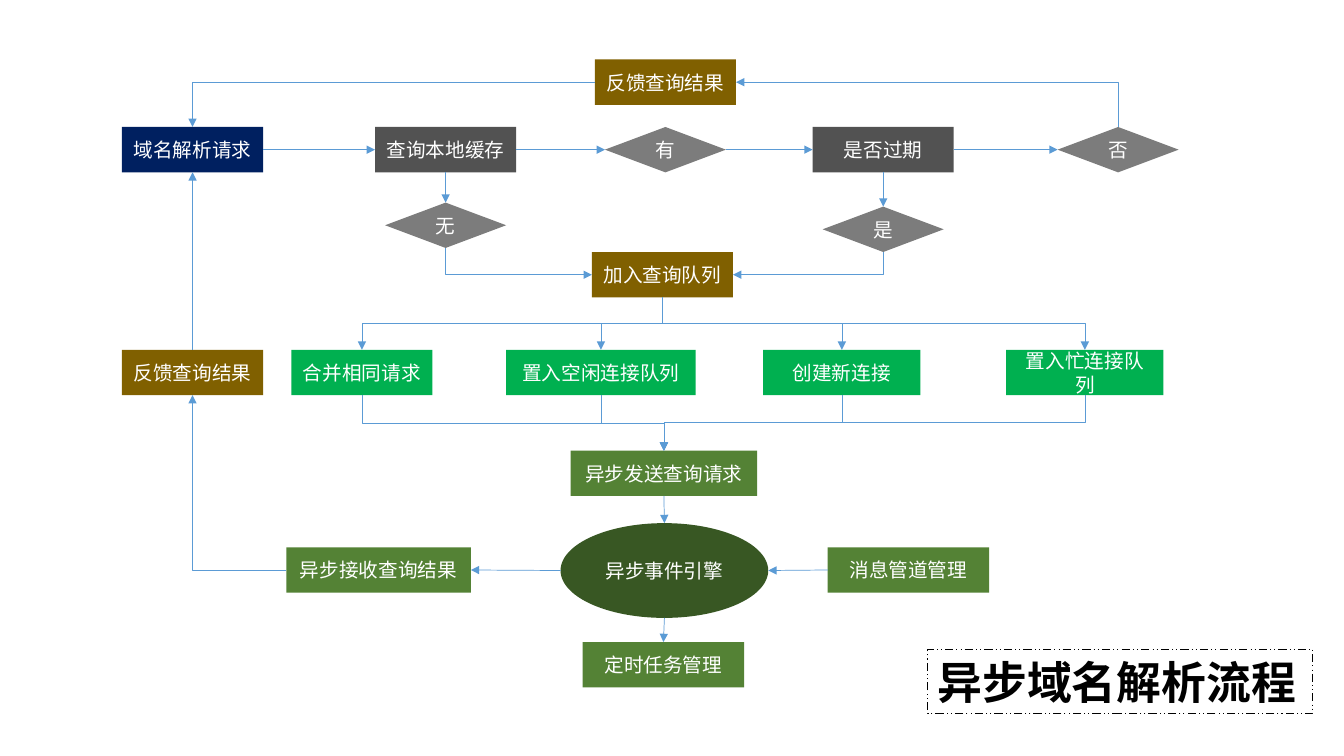
from dataclasses import dataclass

import lxml.etree
import pptx
import pptx.dml.color
import pptx.enum.dml
import pptx.enum.shapes
import pptx.enum.text
import pptx.oxml.ns
import pptx.util

PX = 9144  # 100 px to the inch
BOX_HEIGHT = 45
BOX_WIDTH = 140
DIAMOND_WIDTH = 120

SHAPE = pptx.enum.shapes.MSO_SHAPE
CONNECTOR = pptx.enum.shapes.MSO_CONNECTOR
qn = pptx.oxml.ns.qn


@dataclass(frozen=True)
class Theme:
    request: str = "002060"
    check: str = "525252"
    decision: str = "7C7C7C"
    result: str = "806000"
    queue: str = "00B050"
    task: str = "548235"
    engine: str = "385723"
    arrow: str = "5B9BD5"
    light: str = "FFFFFF"
    dark: str = "000000"
    font: str = "Calibri"
    title_font: str = "Noto Sans CJK JP"
    text_size: int = 14
    title_size: int = 32
    arrow_width: float = 0.5
    frame_width: float = 0.75


THEME = Theme()


def rgb(color):
    return pptx.dml.color.RGBColor.from_string(color)


def format_text(paragraph, font_name, size, color, bold=False):
    for run in paragraph.runs:
        font = run.font
        font.name = font_name
        font.size = pptx.util.Pt(size)
        font.bold = bold
        font.color.rgb = rgb(color)
        east_asian = lxml.etree.SubElement(run._r.get_or_add_rPr(), qn("a:ea"))
        east_asian.set("typeface", THEME.title_font)


def add_node(slide, text, left, top, color, width=BOX_WIDTH, height=BOX_HEIGHT,
             kind=SHAPE.RECTANGLE):
    shape = slide.shapes.add_shape(kind, left * PX, top * PX, width * PX, height * PX)
    shape.shadow.inherit = False
    shape.fill.solid()
    shape.fill.fore_color.rgb = rgb(color)
    shape.line.fill.background()
    text_frame = shape.text_frame
    text_frame.text = text
    text_frame.word_wrap = True
    text_frame.vertical_anchor = pptx.enum.text.MSO_ANCHOR.MIDDLE
    paragraph = text_frame.paragraphs[0]
    paragraph.alignment = pptx.enum.text.PP_ALIGN.CENTER
    format_text(paragraph, THEME.font, THEME.text_size, THEME.light)
    return shape


def add_decision(slide, text, left, top):
    return add_node(slide, text, left, top, THEME.decision, DIAMOND_WIDTH,
                    kind=SHAPE.FLOWCHART_DECISION)


def side_point(shape, side):
    x = shape.left + {"left": 0, "right": shape.width}.get(side, shape.width // 2)
    y = shape.top + {"top": 0, "bottom": shape.height}.get(side, shape.height // 2)
    return x, y


def glue(connector, tag, shape, side):
    """Attach one connector end to a side; an ellipse has twice as many sites."""
    site = ["top", "left", "bottom", "right"].index(side)
    if shape.auto_shape_type == SHAPE.OVAL:
        site *= 2
    end = lxml.etree.SubElement(connector._element.nvCxnSpPr.cNvCxnSpPr, qn(tag))
    end.set("id", str(shape.shape_id))
    end.set("idx", str(site))


def turn_upright(connector, begin, end):
    """Make an elbow leave its start vertically, by a quarter turn."""
    (x1, y1), (x2, y2) = begin, end
    width, height = abs(y2 - y1), abs(x2 - x1)
    connector.left, connector.top = (x1 + x2 - width) // 2, (y1 + y2 - height) // 2
    connector.width, connector.height = width, height
    transform = connector._element.spPr.find(qn("a:xfrm"))
    transform.set("rot", str(90 * 60000))
    transform.set("flipH", str(int(y2 < y1)))
    transform.set("flipV", str(int(x2 > x1)))


def add_arrow(slide, source, source_side, target, target_side, preset=None):
    """Join two nodes, straight or with the given bent connector preset."""
    begin, end = side_point(source, source_side), side_point(target, target_side)
    kind = CONNECTOR.ELBOW if preset else CONNECTOR.STRAIGHT
    connector = slide.shapes.add_connector(kind, *begin, *end)
    glue(connector, "a:stCxn", source, source_side)
    glue(connector, "a:endCxn", target, target_side)
    properties = connector._element.spPr
    if preset:
        properties.find(qn("a:prstGeom")).set("prst", preset)
        if source_side in ("top", "bottom"):
            turn_upright(connector, begin, end)
    connector.line.color.rgb = rgb(THEME.arrow)
    connector.line.width = pptx.util.Pt(THEME.arrow_width)
    head = lxml.etree.SubElement(properties.find(qn("a:ln")), qn("a:tailEnd"))
    head.set("type", "triangle")
    lxml.etree.SubElement(properties, qn("a:effectLst"))


def add_title(slide, text, left, top, width, height):
    box = slide.shapes.add_textbox(left * PX, top * PX, width * PX, height * PX)
    box.line.color.rgb = rgb(THEME.dark)
    box.line.width = pptx.util.Pt(THEME.frame_width)
    box.line.dash_style = pptx.enum.dml.MSO_LINE.DASH_DOT_DOT
    box.text_frame.text = text
    box.text_frame.word_wrap = True
    box.text_frame.vertical_anchor = pptx.enum.text.MSO_ANCHOR.MIDDLE
    format_text(box.text_frame.paragraphs[0], THEME.title_font, THEME.title_size,
                THEME.dark, bold=True)


def main():
    presentation = pptx.Presentation()
    presentation.slide_width, presentation.slide_height = 1333 * PX, 750 * PX
    slide = presentation.slides.add_slide(presentation.slide_layouts[6])

    request = add_node(slide, "域名解析请求", 121, 126, THEME.request)
    cache = add_node(slide, "查询本地缓存", 372, 126, THEME.check)
    hit = add_decision(slide, "有", 600, 126)
    expiry = add_node(slide, "是否过期", 806, 126, THEME.check)
    fresh = add_decision(slide, "否", 1049, 126)
    miss = add_decision(slide, "无", 382, 201)
    expired = add_decision(slide, "是", 816, 205)
    cached_result = add_node(slide, "反馈查询结果", 590, 59, THEME.result)
    enqueue = add_node(slide, "加入查询队列", 587, 250, THEME.result)
    queried_result = add_node(slide, "反馈查询结果", 121, 347, THEME.result)
    branches = [
        add_node(slide, text, left, 347, THEME.queue, width)
        for text, left, width in (
            ("合并相同请求", 289, 140),
            ("置入空闲连接队列", 502, 188),
            ("创建新连接", 757, 156),
            ("置入忙连接队列", 998, 156),
        )
    ]
    send = add_node(slide, "异步发送查询请求", 566, 447, THEME.task, 185)
    engine = add_node(slide, "异步事件引擎", 556, 519, THEME.engine, 206, 94, SHAPE.OVAL)
    receive = add_node(slide, "异步接收查询结果", 284, 543, THEME.task, 183)
    pipeline = add_node(slide, "消息管道管理", 821, 543, THEME.task, 160)
    timer = add_node(slide, "定时任务管理", 578, 637, THEME.task, 160)

    top_row = [request, cache, hit, expiry, fresh]
    for source, target in zip(top_row, top_row[1:]):
        add_arrow(slide, source, "right", target, "left")
    for source, target in ((cache, miss), (expiry, expired), (send, engine), (engine, timer)):
        add_arrow(slide, source, "bottom", target, "top")
    for source, target in ((engine, receive), (pipeline, engine)):
        add_arrow(slide, source, "left", target, "right")
    add_arrow(slide, queried_result, "top", request, "bottom")

    for source, source_side, target, target_side in (
        (fresh, "top", cached_result, "right"),
        (cached_result, "left", request, "top"),
        (miss, "bottom", enqueue, "left"),
        (expired, "bottom", enqueue, "right"),
        (receive, "left", queried_result, "bottom"),
    ):
        add_arrow(slide, source, source_side, target, target_side, "bentConnector2")
    for branch in branches:
        add_arrow(slide, enqueue, "bottom", branch, "top", "bentConnector3")
        add_arrow(slide, branch, "bottom", send, "top", "bentConnector3")

    add_title(slide, "异步域名解析流程", 920, 644, 382, 64)
    presentation.save("out.pptx")


if __name__ == "__main__":
    main()
